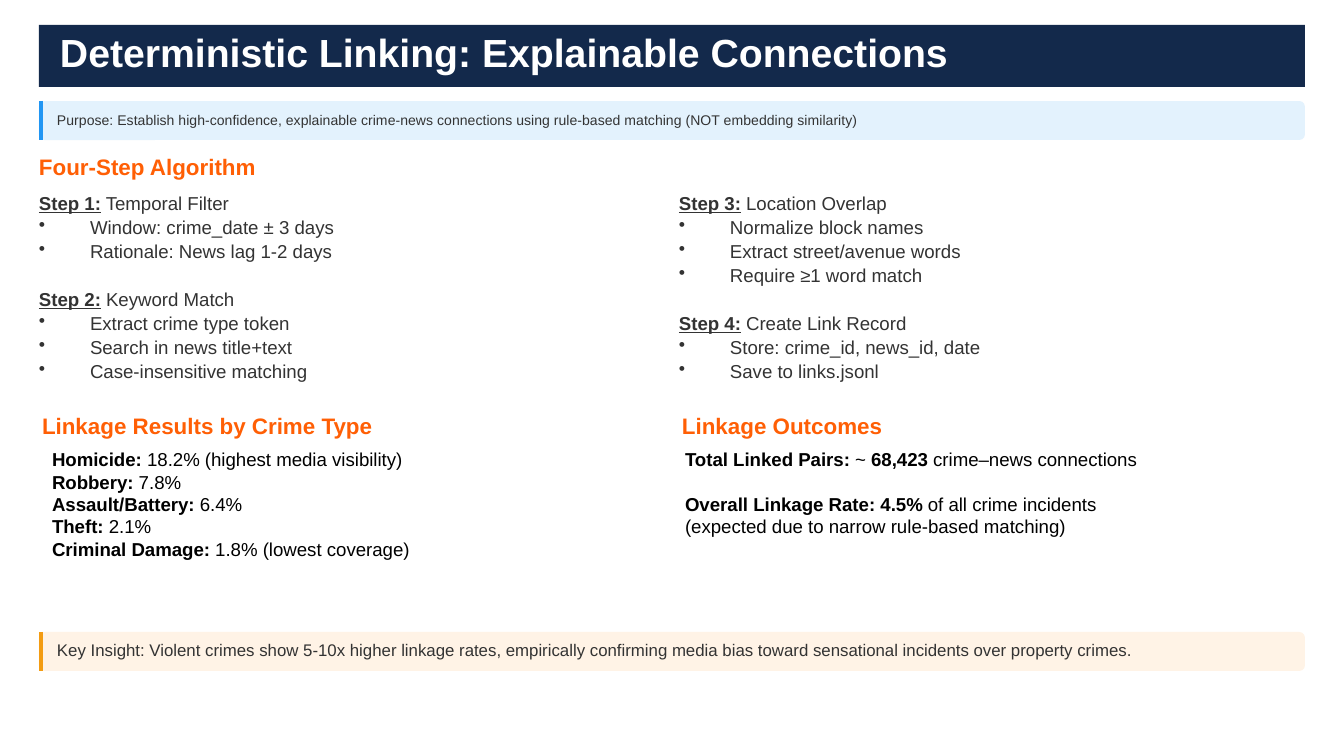
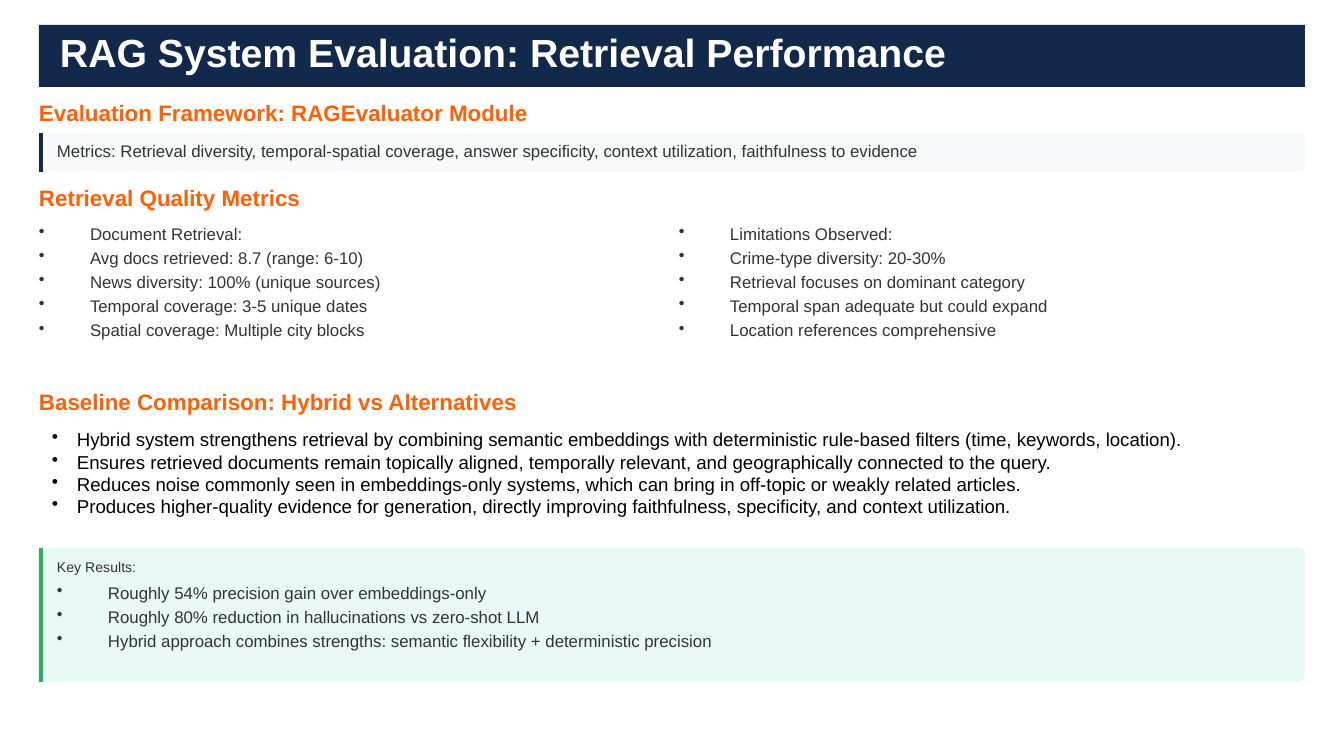
from dataclasses import dataclass

from lxml.etree import SubElement
from pptx import Presentation
from pptx.dml.color import RGBColor
from pptx.enum.shapes import MSO_CONNECTOR as Connector, MSO_SHAPE as Shape
from pptx.enum.text import MSO_ANCHOR as Anchor, MSO_AUTO_SIZE as AutoSize
from pptx.oxml.ns import qn
from pptx.util import Emu, Pt

# ---- Content: a string is a plain line, a tuple alternates bold and plain ----
LINKING = {
    "title": "Deterministic Linking: Explainable Connections",
    "purpose": "Purpose: Establish high-confidence, explainable crime-news connections "
               "using rule-based matching (NOT embedding similarity)",
    "algorithm": "Four-Step Algorithm",
    "steps": [
        [("Step 1:", " Temporal Filter"),
         "Window: crime_date ± 3 days",
         "Rationale: News lag 1-2 days",
         ("Step 2:", " Keyword Match"),
         "Extract crime type token",
         "Search in news title+text",
         "Case-insensitive matching"],
        [("Step 3:", " Location Overlap"),
         "Normalize block names",
         "Extract street/avenue words",
         "Require ≥1 word match",
         ("Step 4:", " Create Link Record"),
         "Store: crime_id, news_id, date",
         "Save to links.jsonl"],
    ],
    "results": "Linkage Results by Crime Type",
    "rates": [
        ("Homicide:", " 18.2% (highest media visibility)"),
        ("Robbery:", " 7.8%"),
        ("Assault/Battery:", " 6.4%"),
        ("Theft:", " 2.1%"),
        ("Criminal Damage:", " 1.8% (lowest coverage)"),
    ],
    "outcomes": "Linkage Outcomes",
    "totals": [
        ("Total Linked Pairs:", " ~ ", "68,423", " crime–news connections"),
        ("Overall Linkage Rate: 4.5%", " of all crime incidents"),
        "(expected due to narrow rule-based matching)",
    ],
    "insight": "Key Insight: Violent crimes show 5-10x higher linkage rates, empirically "
               "confirming media bias toward sensational incidents over property crimes.",
}

EVALUATION = {
    "title": "RAG System Evaluation: Retrieval Performance",
    "framework": "Evaluation Framework: RAGEvaluator Module",
    "metrics": "Metrics: Retrieval diversity, temporal-spatial coverage, answer specificity, "
               "context utilization, faithfulness to evidence",
    "quality": "Retrieval Quality Metrics",
    "findings": [
        ["Document Retrieval:",
         "Avg docs retrieved: 8.7 (range: 6-10)",
         "News diversity: 100% (unique sources)",
         "Temporal coverage: 3-5 unique dates",
         "Spatial coverage: Multiple city blocks"],
        ["Limitations Observed:",
         "Crime-type diversity: 20-30%",
         "Retrieval focuses on dominant category",
         "Temporal span adequate but could expand",
         "Location references comprehensive"],
    ],
    "comparison": "Baseline Comparison: Hybrid vs Alternatives",
    "benefits": [
        "Hybrid system strengthens retrieval by combining semantic embeddings with "
        "deterministic rule-based filters (time, keywords, location).",
        "Ensures retrieved documents remain topically aligned, temporally relevant, "
        "and geographically connected to the query.",
        "Reduces noise commonly seen in embeddings-only systems, which can bring in "
        "off-topic or weakly related articles.",
        "Produces higher-quality evidence for generation, directly improving "
        "faithfulness, specificity, and context utilization.",
    ],
    "key_label": "Key Results:",
    "key_results": [
        "Roughly 54% precision gain over embeddings-only",
        "Roughly 80% reduction in hallucinations vs zero-shot LLM",
        "Hybrid approach combines strengths: semantic flexibility + deterministic precision",
    ],
}


# ---- Theme ----
@dataclass(frozen=True)
class Style:
    size: float
    color: str
    bold: bool = False
    line: float = 0        # exact line height, pt
    after: float = 0       # space after, pt
    group_gap: float = 0   # space before a later bold line, pt
    underline: bool = False
    indent: int = 0        # hanging bullet indent, px


class Theme:
    font = "Arial"
    navy, ink = "13294B", "333333"
    title = Style(21, "FFFFFF", bold=True, line=21)
    heading = Style(12, "FF5F05", bold=True, line=13.3, after=3.8)
    note = Style(9, ink, line=9, after=1.5)
    small_note = Style(7.5, ink, line=9, after=1.5)
    steps = Style(10, ink, line=10.7, after=2.2, group_gap=12.9, underline=True, indent=51)
    bullets = Style(9, ink, line=10.7, after=2.2, indent=51)
    body = Style(10, "000000")
    spaced_body = Style(10, "000000", group_gap=12)
    body_bullets = Style(10, "000000", indent=25)
    # callout fill and accent
    blue = ("E3F2FD", "2196F3")
    orange = ("FFF3E6", "F39C12")
    gray = ("F8F9FA", navy)
    green = ("E8F8F5", "27AE60")


# ---- Geometry, px ----
SLIDE_W, SLIDE_H = 1344, 756
LEFT, FULL_W = 39, 1266
COLUMN_W, COLUMN_STEP = 626, 640
HEADING_W, HEADING_H = 646, 26
CALLOUT_H, CALLOUT_PAD, NOTE_H = 39, 18, 16
BODY_INSETS = (13, 7)
SCALE = 914400 / 134.4


def px(length):
    return Emu(round(length * SCALE))


def rgb(color):
    return RGBColor.from_string(color)


# ---- Building blocks ----
def add_bullet(paragraph, indent):
    props = paragraph._p.get_or_add_pPr()
    props.set("marL", str(px(indent)))
    props.set("indent", str(-px(indent)))
    SubElement(props, qn("a:buChar")).set("char", "•")


def write_line(paragraph, line, style, first):
    grouped = isinstance(line, tuple)
    if style.indent and not grouped:
        add_bullet(paragraph, style.indent)
    if style.line:
        paragraph.line_spacing = Pt(style.line)
        paragraph.space_after = Pt(style.after)
    if grouped and style.group_gap and not first:
        paragraph.space_before = Pt(style.group_gap)
    for position, words in enumerate(line if grouped else (line,)):
        run = paragraph.add_run()
        run.text = words
        strong = grouped and position % 2 == 0
        font = run.font
        font.name, font.size = Theme.font, Pt(style.size)
        font.bold = style.bold or strong
        font.underline = style.underline and strong
        font.color.rgb = rgb(style.color)


def add_text(slide, box, lines, style, insets=(0, 0), anchor=Anchor.TOP, grow=False):
    frame = slide.shapes.add_textbox(*map(px, box)).text_frame
    frame.word_wrap = True
    frame.vertical_anchor = anchor
    frame.auto_size = AutoSize.SHAPE_TO_FIT_TEXT if grow else AutoSize.NONE
    frame.margin_left = frame.margin_right = px(insets[0])
    frame.margin_top = frame.margin_bottom = px(insets[1])
    for index, line in enumerate(lines):
        paragraph = frame.add_paragraph() if index else frame.paragraphs[0]
        write_line(paragraph, line, style, first=index == 0)


def add_block(slide, kind, box, fill):
    block = slide.shapes.add_shape(kind, *map(px, box))
    block.shadow.inherit = False
    block.fill.solid()
    block.fill.fore_color.rgb = rgb(fill)
    block.line.fill.background()
    return block


def add_title(slide, title):
    add_block(slide, Shape.RECTANGLE, (LEFT, 25, FULL_W, 62), Theme.navy)
    add_text(slide, (LEFT, 36, 950, 39), [title], Theme.title, insets=(21, 0))


def add_heading(slide, top, heading, left=LEFT):
    add_text(slide, (left, top, HEADING_W, HEADING_H), [heading], Theme.heading)


def add_callout(slide, top, note, colors, style=Theme.note, height=CALLOUT_H):
    fill, accent = colors
    panel = add_block(slide, Shape.ROUNDED_RECTANGLE, (LEFT, top, FULL_W, height), fill)
    panel.adjustments[0] = 0.143 * CALLOUT_H / height
    edge = LEFT + 2
    bar = slide.shapes.add_connector(
        Connector.STRAIGHT, px(edge), px(top), px(edge), px(top + height))
    bar.line.color.rgb = rgb(accent)
    bar.line.width = Pt(2.25)
    SubElement(bar._element.spPr, qn("a:effectLst"))
    add_text(slide, (LEFT + CALLOUT_PAD, top + 11, 1258, NOTE_H), [note], style)


def add_columns(slide, top, height, columns, style):
    for index, lines in enumerate(columns):
        left = LEFT + index * COLUMN_STEP
        add_text(slide, (left, top, COLUMN_W, height), lines, style)


# ---- Slides ----
def build_linking(slide, content):
    add_title(slide, content["title"])
    add_callout(slide, 101, content["purpose"], Theme.blue, Theme.small_note)
    add_heading(slide, 155, content["algorithm"])
    add_columns(slide, 194, 203, content["steps"], Theme.steps)
    for index, key in enumerate(("results", "outcomes")):
        add_heading(slide, 414, content[key], LEFT + 3 + index * COLUMN_STEP)
    add_text(slide, (LEFT, 441, 410, 126), content["rates"], Theme.body,
             BODY_INSETS, Anchor.MIDDLE, grow=True)
    add_text(slide, (672, 441, 515, 103), content["totals"], Theme.spaced_body,
             BODY_INSETS, Anchor.MIDDLE, grow=True)
    add_callout(slide, 632, content["insight"], Theme.orange)


def build_evaluation(slide, content):
    add_title(slide, content["title"])
    add_heading(slide, 101, content["framework"])
    add_callout(slide, 133, content["metrics"], Theme.gray)
    add_heading(slide, 186, content["quality"])
    add_columns(slide, 224, 144, content["findings"], Theme.bullets)
    add_heading(slide, 390, content["comparison"])
    add_text(slide, (LEFT, 421, 1168, 103), content["benefits"], Theme.body_bullets,
             BODY_INSETS, grow=True)
    add_callout(slide, 548, content["key_label"], Theme.green, Theme.small_note, height=134)
    add_text(slide, (LEFT + CALLOUT_PAD, 583, 1234, 83), content["key_results"], Theme.bullets)


def main():
    deck = Presentation()
    deck.slide_width, deck.slide_height = px(SLIDE_W), px(SLIDE_H)
    blank = deck.slide_layouts[6]
    for build, content in ((build_linking, LINKING), (build_evaluation, EVALUATION)):
        build(deck.slides.add_slide(blank), content)
    deck.save("out.pptx")


if __name__ == "__main__":
    main()
